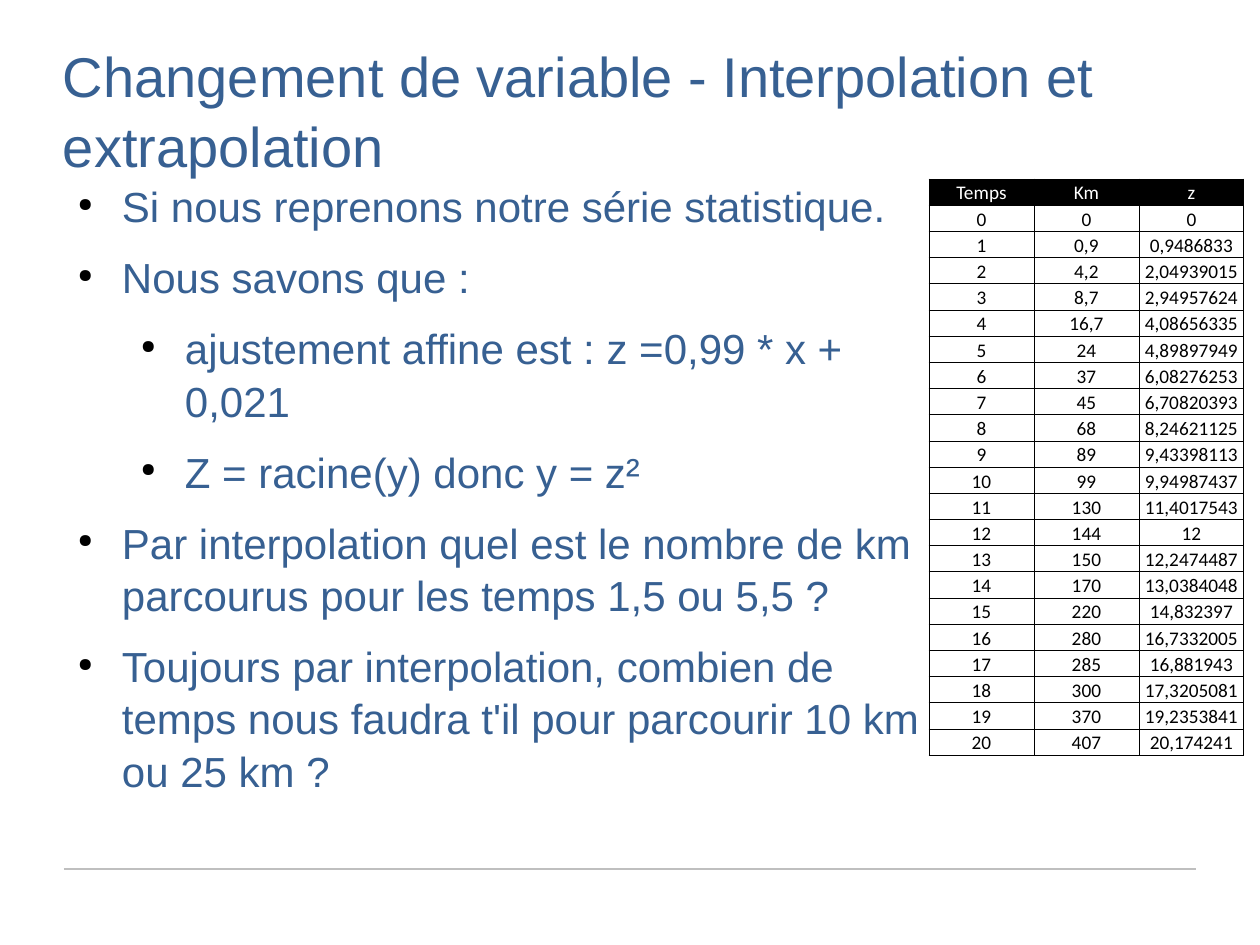
from math import sqrt
from typing import NamedTuple

from lxml.etree import SubElement
from pptx import Presentation
from pptx.dml.color import RGBColor
from pptx.enum.shapes import MSO_CONNECTOR as Connector
from pptx.enum.text import MSO_ANCHOR as Anchor, PP_ALIGN as Align
from pptx.oxml.ns import qn
from pptx.util import Emu, Pt

PIXEL = 914400 // 126
BLUE, BLACK, WHITE, GREY = "376092", "000000", "FFFFFF", "BFBFBF"


class Box(NamedTuple):
    """A rectangle in pixels."""
    left: int
    top: int
    width: int
    height: int


class Point(NamedTuple):
    """One bulleted statement and its outline level."""
    text: str
    level: int = 0


TITLE = "Changement de variable - Interpolation et extrapolation"
POINTS = [
    Point("Si nous reprenons notre série statistique."),
    Point("Nous savons que :"),
    Point("ajustement affine est : z =0,99 * x + 0,021", 1),
    Point("Z = racine(y) donc y = z²", 1),
    Point("Par interpolation quel est le nombre de km parcourus "
          "pour les temps 1,5 ou 5,5 ?"),
    Point("Toujours par interpolation, combien de temps nous faudra t'il "
          "pour parcourir 10 km ou 25 km ?"),
]
HEADINGS = ("Temps", "Km", "z")
DISTANCES = [0, 0.9, 4.2, 8.7, 16.7, 24, 37, 45, 68, 89, 99, 130, 144, 150,
             170, 220, 280, 285, 300, 370, 407]


def px(length: float) -> Emu:
    """Turn pixels into EMU."""
    return Emu(round(length * PIXEL))


def color(value: str) -> RGBColor:
    """Turn a hex string into a colour."""
    return RGBColor.from_string(value)


def french(value: float) -> str:
    """Write a number with nine digits at most and a decimal comma."""
    decimals = 9 - len(str(int(value)))
    return f"{value:.{decimals}f}".rstrip("0").rstrip(".").replace(".", ",")


def write(paragraph, text: str, *, size: float, font: str = "Arial",
          ink: str = BLUE, align=Align.LEFT, spacing: float = 1.0,
          after: float = 0) -> None:
    """Put formatted text into a paragraph."""
    paragraph.alignment = align
    paragraph.line_spacing = spacing
    paragraph.space_after = Pt(after)
    run = paragraph.add_run()
    run.text = text
    run.font.size = Pt(size)
    run.font.name = font
    run.font.color.rgb = color(ink)


def add_bullet(paragraph, level: int) -> None:
    """Give a paragraph a small black bullet and a hanging indent."""
    paragraph.level = level
    properties = paragraph._p.get_or_add_pPr()
    properties.set("marL", str(px(59 + 63 * level)))
    properties.set("indent", str(px(-44)))
    bullet_color = SubElement(properties, qn("a:buClr"))
    SubElement(bullet_color, qn("a:srgbClr"), val=BLACK)
    SubElement(properties, qn("a:buSzPct"), val="45000")
    SubElement(properties, qn("a:buChar"), char="●")


def add_text_frame(slide, box: Box):
    """Add a wrapping text box without margins and return its frame."""
    frame = slide.shapes.add_textbox(*map(px, box)).text_frame
    frame.word_wrap = True
    frame.margin_left = frame.margin_right = 0
    frame.margin_top = frame.margin_bottom = 0
    return frame


def add_points(slide, box: Box, points: list[Point]) -> None:
    """Add the bulleted list."""
    frame = add_text_frame(slide, box)
    for index, point in enumerate(points):
        paragraph = frame.add_paragraph() if index else frame.paragraphs[0]
        write(paragraph, point.text, size=24, spacing=1.04, after=10.6)
        add_bullet(paragraph, point.level)


def add_rule(slide, left: int, right: int, y: int) -> None:
    """Add the grey line at the foot of the slide."""
    rule = slide.shapes.add_connector(
        Connector.STRAIGHT, px(left), px(y), px(right), px(y))
    rule.line.color.rgb = color(GREY)
    rule.line.width = Pt(0.75)
    SubElement(rule._element.spPr, qn("a:effectLst"))


def add_borders(cell) -> None:
    """Draw a thin black border on each side of a cell."""
    properties = cell._tc.get_or_add_tcPr()
    for position, side in enumerate(("a:lnL", "a:lnR", "a:lnT", "a:lnB")):
        border = properties.makeelement(qn(side), {"w": str(Pt(0.5))})
        fill = SubElement(border, qn("a:solidFill"))
        SubElement(fill, qn("a:srgbClr"), val=BLACK)
        properties.insert(position, border)


def add_series_table(slide, box: Box, rows: list[tuple]) -> None:
    """Add the table of times, distances and their square roots."""
    frame = slide.shapes.add_table(len(rows), len(HEADINGS), *map(px, box))
    table = frame.table
    for column in table.columns:
        column.width = px(box.width / len(HEADINGS))
    for row_index, values in enumerate(rows):
        table.rows[row_index].height = px(box.height / len(rows))
        for column_index, text in enumerate(values):
            cell = table.cell(row_index, column_index)
            cell.vertical_anchor = Anchor.BOTTOM
            cell.margin_left = cell.margin_right = cell.margin_top = px(1)
            cell.margin_bottom = 0
            is_heading = row_index == 0
            cell.fill.solid()
            cell.fill.fore_color.rgb = color(BLACK if is_heading else WHITE)
            write(cell.text_frame.paragraphs[0], text, size=11,
                  font="Calibri", ink=WHITE if is_heading else BLACK,
                  align=Align.CENTER)
            add_borders(cell)


def main() -> None:
    """Build and save the slide."""
    presentation = Presentation()
    presentation.slide_width = px(1260)
    presentation.slide_height = px(945)
    slide = presentation.slides.add_slide(presentation.slide_layouts[6])

    add_rule(slide, 64, 1196, 869)
    title = add_text_frame(slide, Box(63, 38, 1134, 157))
    write(title.paragraphs[0], TITLE, size=32, spacing=1.05)
    add_points(slide, Box(63, 179, 866, 665), POINTS)
    rows = [HEADINGS] + [(str(time), french(distance), french(sqrt(distance)))
                         for time, distance in enumerate(DISTANCES)]
    add_series_table(slide, Box(929, 179, 315, 577), rows)
    presentation.save("out.pptx")


main()
